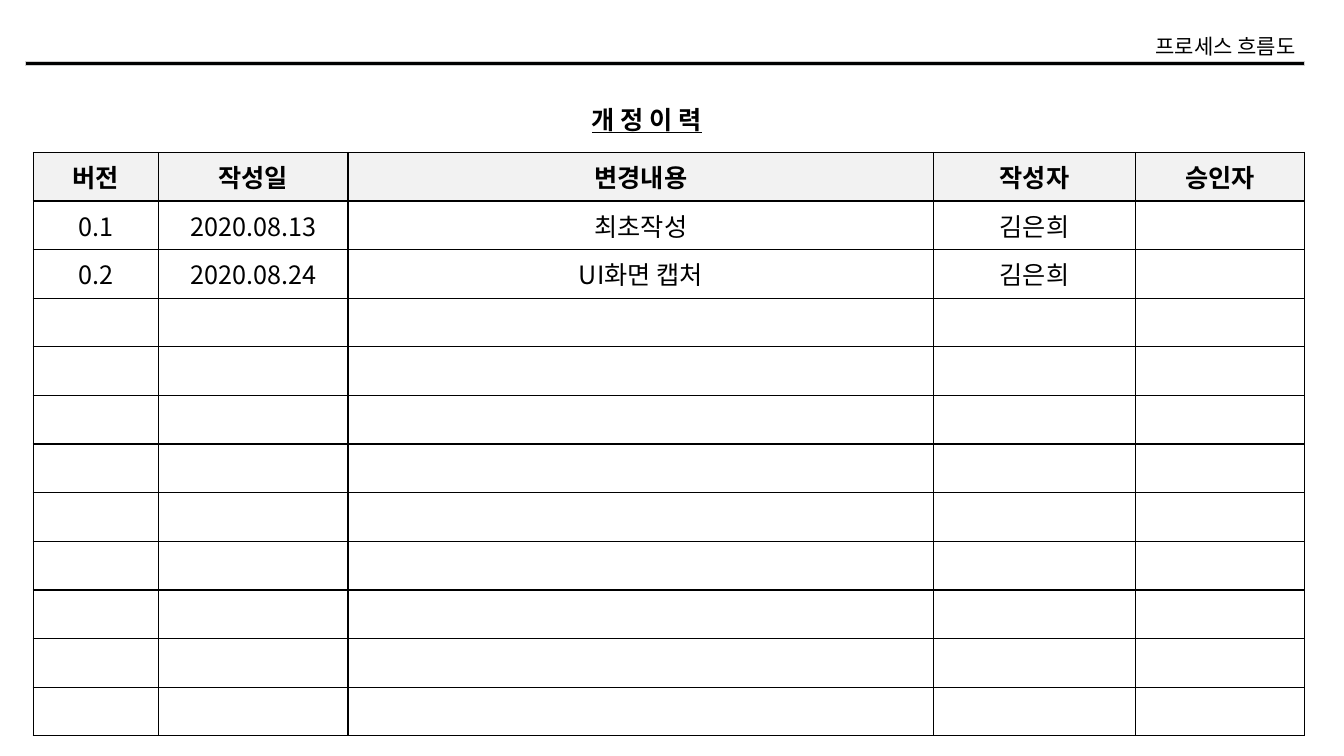
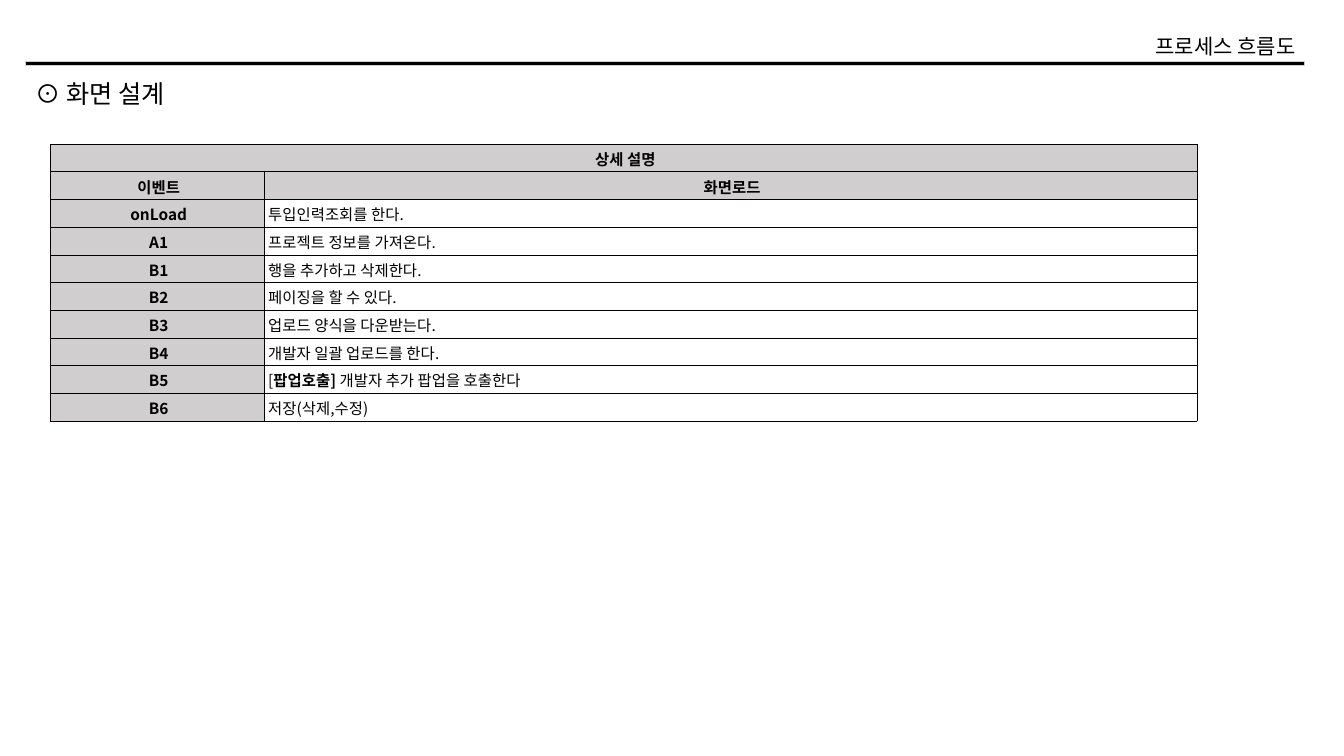
"""Builds the revision history and the screen design slide of a process flow document."""
import dataclasses

import lxml.etree
import pptx
import pptx.dml.color
import pptx.enum.shapes
import pptx.enum.text
import pptx.oxml.ns
import pptx.util

Cm, Pt = pptx.util.Cm, pptx.util.Pt
ALIGN = pptx.enum.text.PP_ALIGN
ANCHOR = pptx.enum.text.MSO_ANCHOR
qn = pptx.oxml.ns.qn


@dataclasses.dataclass(frozen=True)
class Theme:
    font: str = "Noto Sans CJK KR"
    ink: str = "000000"
    paper: str = "FFFFFF"
    light: str = "F2F2F2"
    grey: str = "D0CECE"
    title: int = 18
    header: int = 15
    history: int = 18
    detail: int = 11


THEME = Theme()


def paint(fill, color):
    fill.solid()
    fill.fore_color.rgb = pptx.dml.color.RGBColor.from_string(color)


def write(frame, text, size, bold=False, underline=False, align=ALIGN.LEFT):
    paragraph = frame.paragraphs[0]
    paragraph.alignment = align
    pieces = [(text, bold)] if isinstance(text, str) else text
    for words, heavy in pieces:
        run = paragraph.add_run()
        run.text = words
        font = run.font
        font.name, font.size, font.bold, font.underline = THEME.font, Pt(size), heavy, underline
        paint(font.fill, THEME.ink)
        east_asian = lxml.etree.SubElement(run._r.get_or_add_rPr(), qn("a:ea"))
        east_asian.set("typeface", THEME.font)


def border(cell, points):
    properties = cell._tc.get_or_add_tcPr()
    for side in ("a:lnL", "a:lnR", "a:lnT", "a:lnB"):
        edge = lxml.etree.SubElement(properties, qn(side), w=str(Pt(points)))
        ink = lxml.etree.SubElement(edge, qn("a:solidFill"))
        lxml.etree.SubElement(ink, qn("a:srgbClr"), val=THEME.ink)


class Deck:
    def __init__(self):
        self.show = pptx.Presentation()
        self.show.slide_width, self.show.slide_height = Cm(33.87), Cm(19.05)
        self.slide = None

    def page(self, title, left, top, **style):
        self.slide = self.show.slides.add_slide(self.show.slide_layouts[5])
        self.band()
        self.header("프로세스 흐름도")
        heading = self.slide.shapes.title
        heading.left, heading.top, heading.width, heading.height = map(Cm, (left, top, 4.24, 1.02))
        frame = heading.text_frame
        frame.auto_size = pptx.enum.text.MSO_AUTO_SIZE.NONE
        frame.vertical_anchor = ANCHOR.TOP
        write(frame, title, THEME.title, **style)

    def band(self):
        rule = self.slide.shapes.add_shape(
            pptx.enum.shapes.MSO_SHAPE.RECTANGLE, Cm(0.64), Cm(1.55), Cm(32.23), Cm(0.1))
        rule.shadow.inherit = False
        paint(rule.fill, THEME.ink)
        paint(rule.line.fill, THEME.grey)
        rule.line.width = Pt(0.3)

    def header(self, text):
        box = self.slide.shapes.add_textbox(Cm(28.45), Cm(0.71), Cm(4.45), Cm(0.89))
        box.text_frame.word_wrap = True
        write(box.text_frame, text, THEME.header, align=ALIGN.RIGHT)

    def table(self, rows, left, top, widths, height, size, line, style, margins=None):
        table = self.slide.shapes.add_table(
            len(rows), len(widths), Cm(left), Cm(top), Cm(sum(widths)), Cm(height)).table
        table.first_row = table.horz_banding = False
        for column, width in zip(table.columns, widths):
            column.width = Cm(width)
        for r, texts in enumerate(rows):
            table.rows[r].height = Cm(height / len(rows))
            for c in range(len(widths)):
                cell = table.cell(r, c)
                color, bold, align = style(r, c)
                border(cell, line)
                paint(cell.fill, color)
                cell.vertical_anchor = ANCHOR.MIDDLE
                if margins:
                    (cell.margin_left, cell.margin_top,
                     cell.margin_right, cell.margin_bottom) = map(Cm, margins)
                if c < len(texts) and texts[c]:
                    write(cell.text_frame, texts[c], size, bold=bold, align=align)
            if len(texts) == 1:
                table.cell(r, 0).merge(table.cell(r, len(widths) - 1))


def history_style(row, column):
    return (THEME.paper if row else THEME.light), row == 0, ALIGN.CENTER


def detail_style(row, column):
    if row < 2 or column == 0:
        return THEME.grey, True, ALIGN.CENTER
    return THEME.paper, False, ALIGN.LEFT


HISTORY = [
    ("버전", "작성일", "변경내용", "작성자", "승인자"),
    ("0.1", "2020.08.13", "최초작성", "김은희", ""),
    ("0.2", "2020.08.24", "UI화면 캡처", "김은희", ""),
] + [("",) * 5] * 9

DETAILS = [
    ("상세 설명",),
    ("이벤트", "화면로드"),
    ("onLoad", "투입인력조회를 한다."),
    ("A1", "프로젝트 정보를 가져온다."),
    ("B1", "행을 추가하고 삭제한다."),
    ("B2", "페이징을 할 수 있다."),
    ("B3", "업로드 양식을 다운받는다."),
    ("B4", "개발자 일괄 업로드를 한다."),
    ("B5", [("[", False), ("팝업호출] ", True), ("개발자 추가 팝업을 호출한다", False)]),
    ("B6", "저장(삭제,수정)"),
]

deck = Deck()
deck.page("개 정 이 력", 14.66, 2.49, bold=True, underline=True)
deck.table(HISTORY, 0.84, 3.84, (3.15, 4.78, 14.76, 5.08, 4.27), 14.71,
           THEME.history, 1, history_style)
deck.page("⊙ 화면 설계", 0.64, 1.85)
deck.table(DETAILS, 1.27, 3.63, (5.38, 23.52), 6.98,
           THEME.detail, 0.5, detail_style, margins=(0.11, 0.03, 0.03, 0))
deck.show.save("out.pptx")
